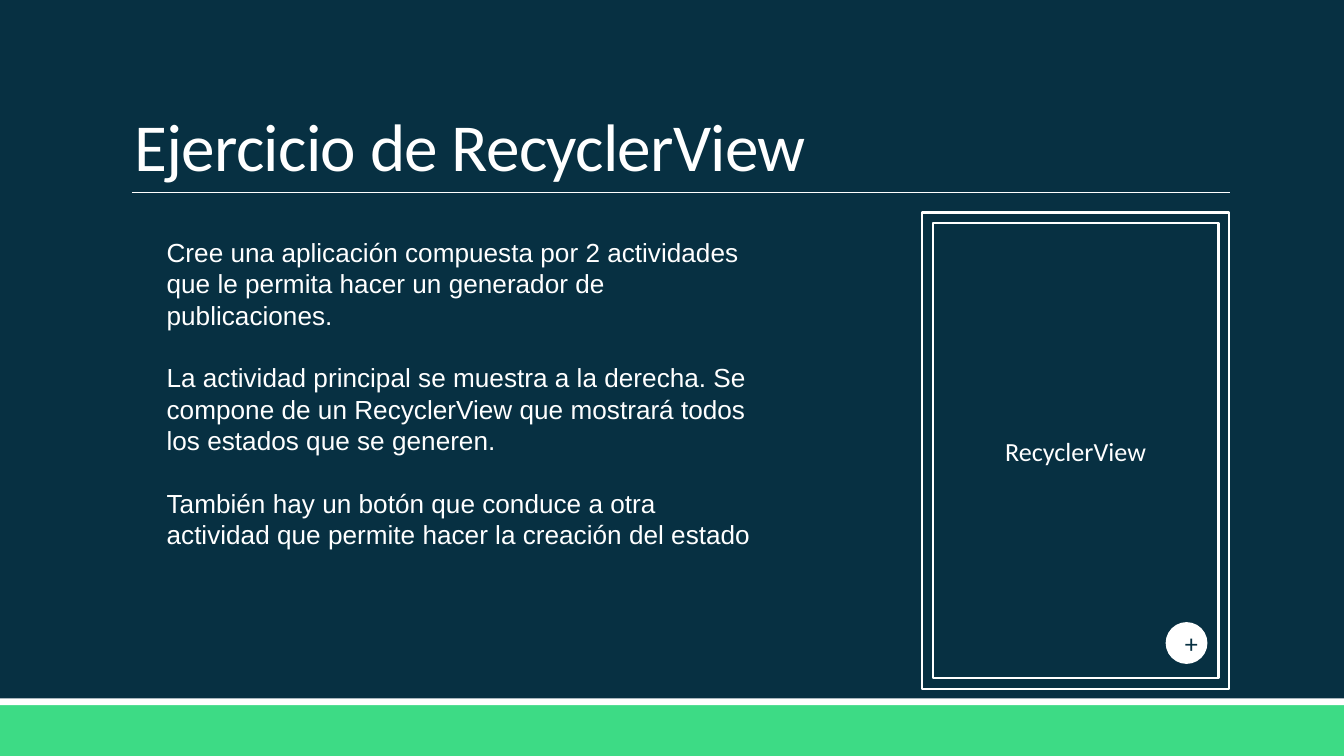
import pptx
import pptx.dml.color
import pptx.enum.shapes
import pptx.enum.text
import pptx.oxml.ns
import pptx.util
from lxml import etree
from pptx.util import Cm, Pt

RGBColor = pptx.dml.color.RGBColor
Align = pptx.enum.text.PP_ALIGN
Anchor = pptx.enum.text.MSO_ANCHOR
AutoSize = pptx.enum.text.MSO_AUTO_SIZE
Shape = pptx.enum.shapes.MSO_SHAPE

NAVY = RGBColor(0x07, 0x30, 0x42)
GREEN = RGBColor(0x3D, 0xDB, 0x85)
WHITE = RGBColor(0xFF, 0xFF, 0xFF)

PAGE_WIDTH, PAGE_HEIGHT = 25.4, 14.29
INSTRUCTIONS = [
    "Cree una aplicación compuesta por 2 actividades que le permita hacer un "
    "generador de publicaciones.",
    "La actividad principal se muestra a la derecha. Se compone de un RecyclerView "
    "que mostrará todos los estados que se generen.",
    "También hay un botón que conduce a otra actividad que permite hacer la "
    "creación del estado",
]


def write_text(shape, *texts, size=14, font="Calibri", color=WHITE, align=Align.LEFT,
               anchor=Anchor.TOP, line_spacing=None, gap=0, tracking=None):
    """Write one paragraph per text; gap is the space in points between them."""
    frame = shape.text_frame
    frame.word_wrap = True
    frame.vertical_anchor = anchor
    for index, text in enumerate(texts):
        para = frame.paragraphs[0] if index == 0 else frame.add_paragraph()
        para.alignment = align
        para.line_spacing = line_spacing
        para.space_before = Pt(gap if index else 0)
        span = para.add_run()
        span.text = text
        span.font.size = Pt(size)
        span.font.name = font
        span.font.color.rgb = color
        if tracking is not None:
            span.font._element.set("spc", str(round(tracking * 100)))


def add_shape(page, kind, box, fill=None, line=None):
    shape = page.shapes.add_shape(kind, *map(Cm, box))
    shape.shadow.inherit = False
    if fill is None:
        shape.fill.background()
    else:
        shape.fill.solid()
        shape.fill.fore_color.rgb = fill
    if line is None:
        shape.line.fill.background()
    else:
        shape.line.color.rgb = line
        shape.line.width = Pt(1.25)
    return shape


def add_footer(page, box):
    """Green band with a white stripe along its top."""
    left, top, width, height = box
    stripe = 0.13
    add_shape(page, Shape.RECTANGLE, (left, top + stripe, width, height - stripe), fill=GREEN)
    add_shape(page, Shape.RECTANGLE, (left, top, width, stripe), fill=WHITE)


def add_title(page, box, text):
    left, top, width, height = box
    bottom = top + height
    rule = page.shapes.add_connector(pptx.enum.shapes.MSO_CONNECTOR.STRAIGHT,
                                     Cm(left + 0.2), Cm(bottom), Cm(left + width), Cm(bottom))
    rule.line.color.rgb = WHITE
    rule.line.width = Pt(0.5)
    etree.SubElement(rule._element.spPr, pptx.oxml.ns.qn("a:effectLst"))
    title = page.shapes.add_textbox(*map(Cm, box))
    write_text(title, text, size=36, anchor=Anchor.BOTTOM, line_spacing=0.85, tracking=-0.4)


def add_instructions(page, box, texts):
    body = page.shapes.add_textbox(*map(Cm, box))
    write_text(body, *texts, font="Arial", gap=16.8)
    body.text_frame.auto_size = AutoSize.SHAPE_TO_FIT_TEXT


def add_phone(page, box):
    """Sketch of the main screen: frame, list area and round add button."""
    left, top, width, height = box
    margin, button = 0.2, 0.79
    add_shape(page, Shape.RECTANGLE, box, line=WHITE)
    screen = add_shape(page, Shape.RECTANGLE,
                       (left + margin, top + margin, width - 2 * margin, height - 2 * margin),
                       line=WHITE)
    write_text(screen, "RecyclerView", align=Align.CENTER, anchor=Anchor.MIDDLE)
    add_button = add_shape(page, Shape.OVAL,
                           (left + width - button - 0.41, top + height - button - 0.47,
                            button, button), fill=WHITE)
    write_text(add_button, "+", color=NAVY, align=Align.CENTER, anchor=Anchor.MIDDLE)


def main():
    deck = pptx.Presentation()
    deck.slide_width, deck.slide_height = Cm(PAGE_WIDTH), Cm(PAGE_HEIGHT)
    page = deck.slides.add_slide(deck.slide_layouts[6])
    page.background.fill.solid()
    page.background.fill.fore_color.rgb = NAVY
    add_footer(page, (0, 13.2, PAGE_WIDTH, PAGE_HEIGHT - 13.2))
    add_title(page, (2.29, 0.61, 20.95, 3.02), "Ejercicio de RecyclerView")
    add_instructions(page, (2.9, 4.34, 11.81, 6.25), INSTRUCTIONS)
    add_phone(page, (17.43, 4.02, 5.8, 9))
    deck.save("out.pptx")


if __name__ == "__main__":
    main()
